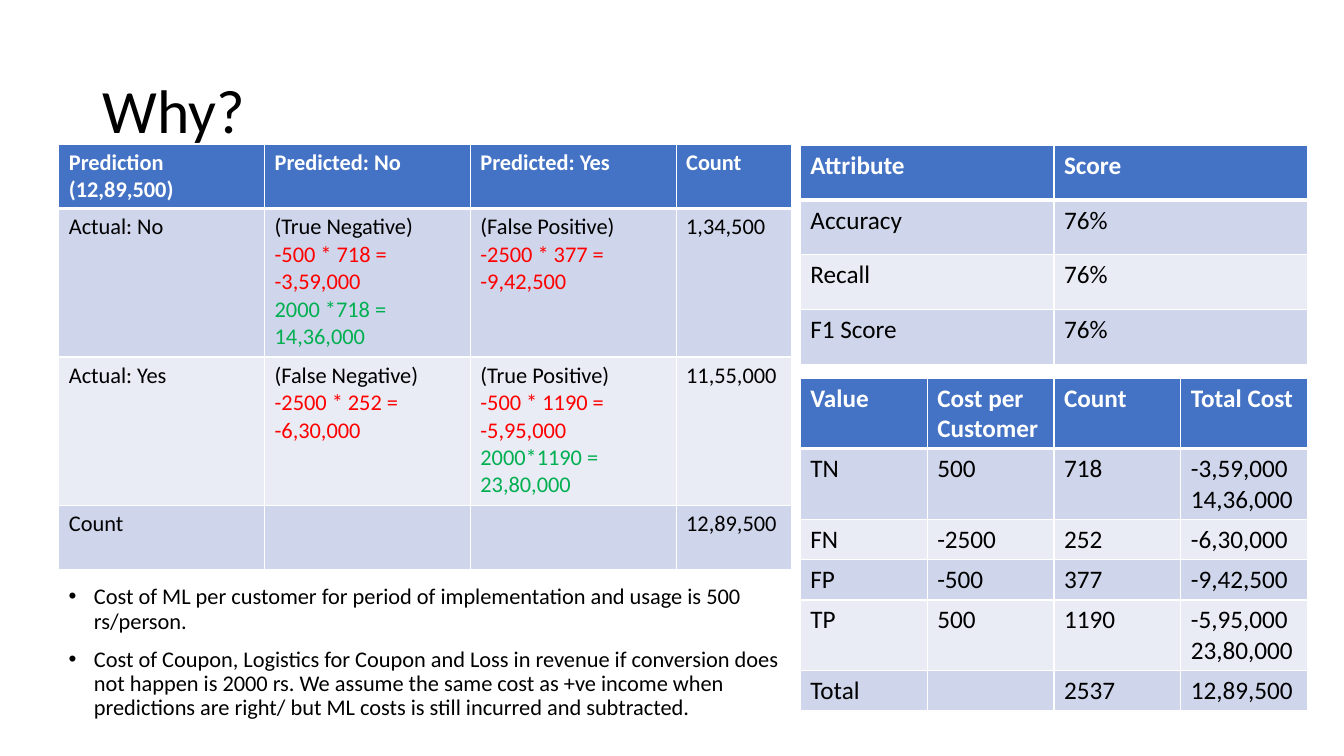
from lxml import etree
from pptx import Presentation
from pptx.dml.color import RGBColor
from pptx.enum.text import MSO_ANCHOR, MSO_AUTO_SIZE, PP_ALIGN
from pptx.oxml.ns import qn
from pptx.util import Pt

MIDDLE, TOP = MSO_ANCHOR.MIDDLE, MSO_ANCHOR.TOP
LEFT = PP_ALIGN.LEFT
NO_FIT = MSO_AUTO_SIZE.NONE
TITLE_ONLY = 5
FONT = "Calibri"
COLORS = {
    "text": "000000",
    "header_text": "FFFFFF",
    "header": "4472C4",
    "band_dark": "CFD5EA",
    "band_light": "E9EBF5",
    "border": "FFFFFF",
    "cost": "FF0000",
    "income": "00B050",
}

PREDICTIONS = [
    ["Prediction\n(12,89,500)", "Predicted: No", "Predicted: Yes", "Count"],
    ["Actual: No",
     "(True Negative)\n-500 * 718 = -3,59,000\n2000 *718 = 14,36,000",
     "(False Positive)\n-2500 * 377 = -9,42,500", "1,34,500"],
    ["Actual: Yes", "(False Negative)\n-2500 * 252 = -6,30,000",
     "(True Positive)\n-500 * 1190 = -5,95,000\n2000*1190 = 23,80,000",
     "11,55,000"],
    ["Count", "", "", "12,89,500"],
]
SCORES = [
    ["Attribute", "Score"],
    ["Accuracy", "76%"],
    ["Recall", "76%"],
    ["F1 Score", "76%"],
]
COSTS = [
    ["Value", "Cost per Customer", "Count", "Total Cost"],
    ["TN", "500", "718", "-3,59,000\n14,36,000"],
    ["FN", "-2500", "252", "-6,30,000"],
    ["FP", "-500", "377", "-9,42,500"],
    ["TP", "500", "1190", "-5,95,000\n23,80,000"],
    ["Total", "", "2537", "12,89,500"],
]
ASSUMPTIONS = [
    "Cost of ML per customer for period of implementation and usage is 500 rs/person.",
    "Cost of Coupon, Logistics for Coupon and Loss in revenue if conversion does not "
    "happen is 2000 rs. We assume the same cost as +ve income when predictions are "
    "right/ but ML costs is still incurred and subtracted.",
]


def rgb(name):
    return RGBColor.from_string(COLORS[name])


def style_font(font, size, color, bold=False):
    font.name, font.size, font.bold = FONT, Pt(size), bold
    font.color.rgb = rgb(color)


def line_color(line, is_header):
    """Calculations are red for a cost and green for an income."""
    if is_header:
        return "header_text"
    if "=" in line:
        return "cost" if line.startswith("-") else "income"
    return "text"


def add_borders(cell, bottom_width):
    properties = cell._tc.get_or_add_tcPr()
    for side, width in (("L", 1), ("R", 1), ("T", 1), ("B", bottom_width)):
        border = etree.SubElement(properties, qn(f"a:ln{side}"), w=str(Pt(width)))
        fill = etree.SubElement(border, qn("a:solidFill"))
        etree.SubElement(fill, qn("a:srgbClr"), val=COLORS["border"])


def fill_cell(cell, text, row, size):
    is_header = row == 0
    add_borders(cell, 3 if is_header else 1)
    cell.fill.solid()
    band = "band_dark" if row % 2 else "band_light"
    cell.fill.fore_color.rgb = rgb("header" if is_header else band)
    cell.text_frame.text = text
    for paragraph in cell.text_frame.paragraphs:
        color = line_color(paragraph.text, is_header)
        style_font(paragraph.font, size, color, is_header)
        for run in paragraph.runs:
            style_font(run.font, size, color, is_header)


def add_banded_table(slide, left, top, widths, heights, rows, size):
    table = slide.shapes.add_table(
        len(rows), len(widths), Pt(left), Pt(top),
        Pt(sum(widths)), Pt(sum(heights))).table
    for column, width in zip(table.columns, widths):
        column.width = Pt(width)
    for row, (texts, height) in enumerate(zip(rows, heights)):
        table.rows[row].height = Pt(height)
        for column, text in enumerate(texts):
            fill_cell(table.cell(row, column), text, row, size)


def set_title(slide, left, top, width, height):
    title = slide.shapes.title
    title.left, title.top = Pt(left), Pt(top)
    title.width, title.height = Pt(width), Pt(height)
    frame = title.text_frame
    frame.text = "Why?"
    frame.vertical_anchor = MIDDLE
    frame.auto_size = NO_FIT
    paragraph = frame.paragraphs[0]
    paragraph.alignment = LEFT
    paragraph.line_spacing = 0.9
    style_font(paragraph.runs[0].font, 44, "text")


def add_assumptions(slide, left, top, width, height):
    frame = slide.shapes.add_textbox(
        Pt(left), Pt(top), Pt(width), Pt(height)).text_frame
    frame.word_wrap = True
    frame.vertical_anchor = TOP
    frame.text = "\n".join(ASSUMPTIONS)
    for paragraph in frame.paragraphs:
        paragraph.line_spacing = 0.9
        paragraph.space_before = Pt(10)
        style_font(paragraph.runs[0].font, 16, "text")
        # Hanging bullet
        properties = paragraph._p.get_or_add_pPr()
        properties.set("marL", str(Pt(18)))
        properties.set("indent", str(-Pt(18)))
        etree.SubElement(properties, qn("a:buFont"), typeface="Arial")
        etree.SubElement(properties, qn("a:buChar"), char="•")


def build_cost_slide(presentation):
    slide = presentation.slides.add_slide(presentation.slide_layouts[TITLE_ONLY])
    set_title(slide, 66, 28.8, 828, 104.4)
    # Left side: confusion matrix with its assumptions
    add_assumptions(slide, 42, 414.7, 522, 111.6)
    add_banded_table(slide, 42, 103, [147] * 3 + [82.5],
                     [46, 106, 106, 46], PREDICTIONS, 16)
    # Right side: scores above cost summary
    right_left, right_width = 571.7, 362.4
    add_banded_table(slide, right_left, 103.7, [right_width / 2] * 2,
                     [39.2] * 4, SCORES, 18)
    one_line, two_lines = 28.8, 50.4
    add_banded_table(slide, right_left, 270, [right_width / 4] * 4,
                     [two_lines, two_lines, one_line, one_line, two_lines, one_line],
                     COSTS, 18)


def main():
    presentation = Presentation()
    presentation.slide_width, presentation.slide_height = Pt(960), Pt(540)
    build_cost_slide(presentation)
    presentation.save("out.pptx")


if __name__ == "__main__":
    main()
